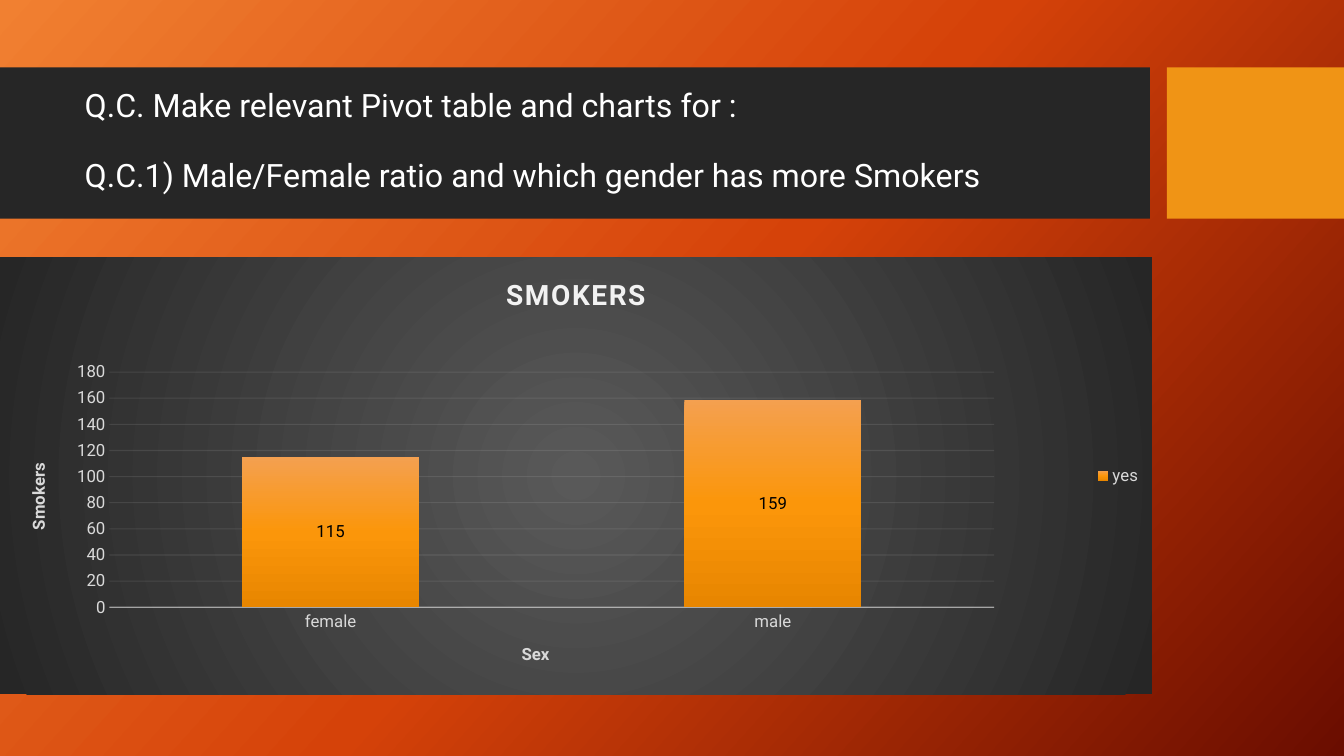
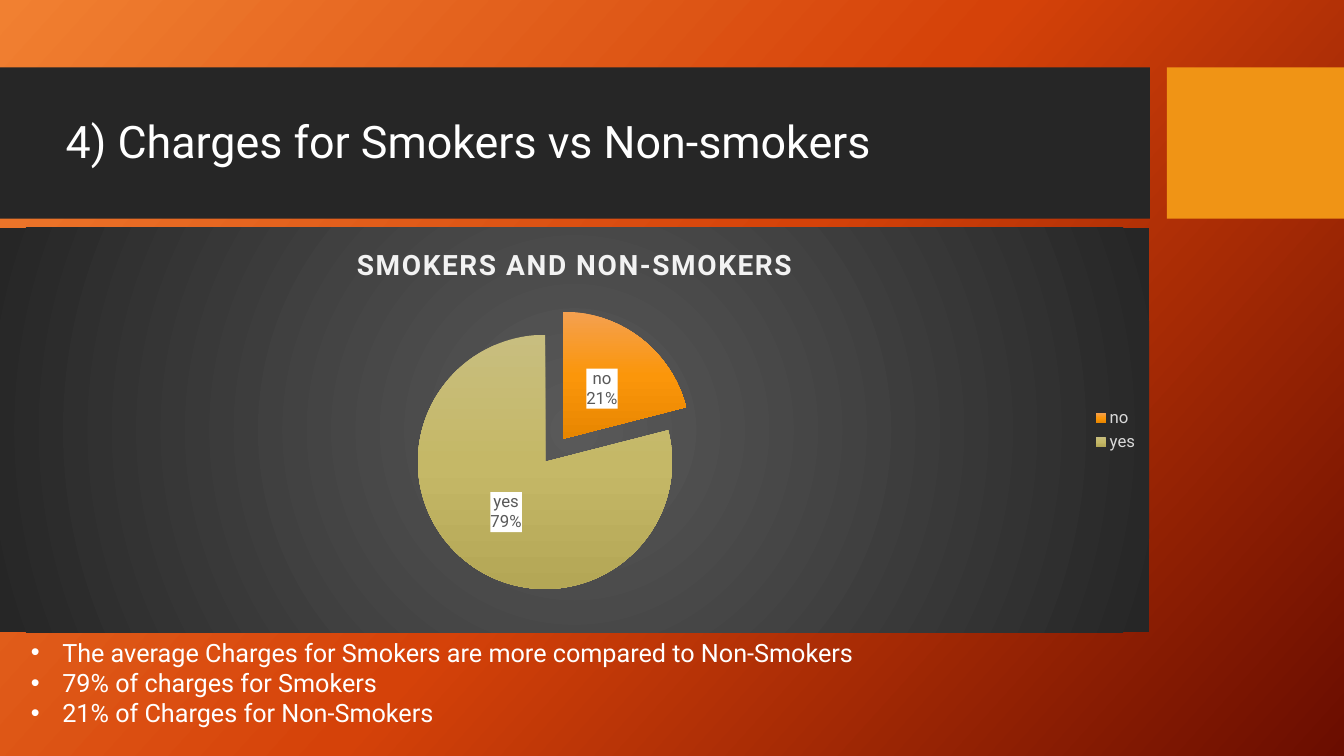
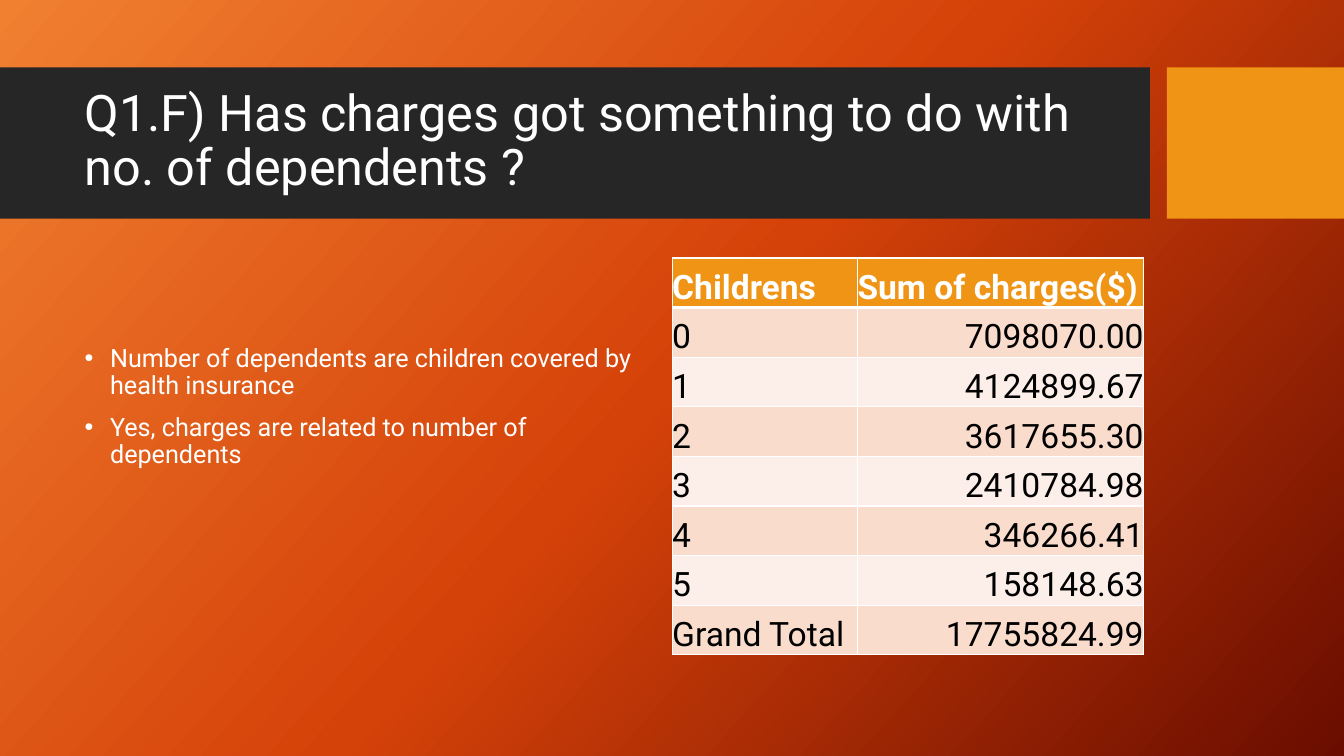
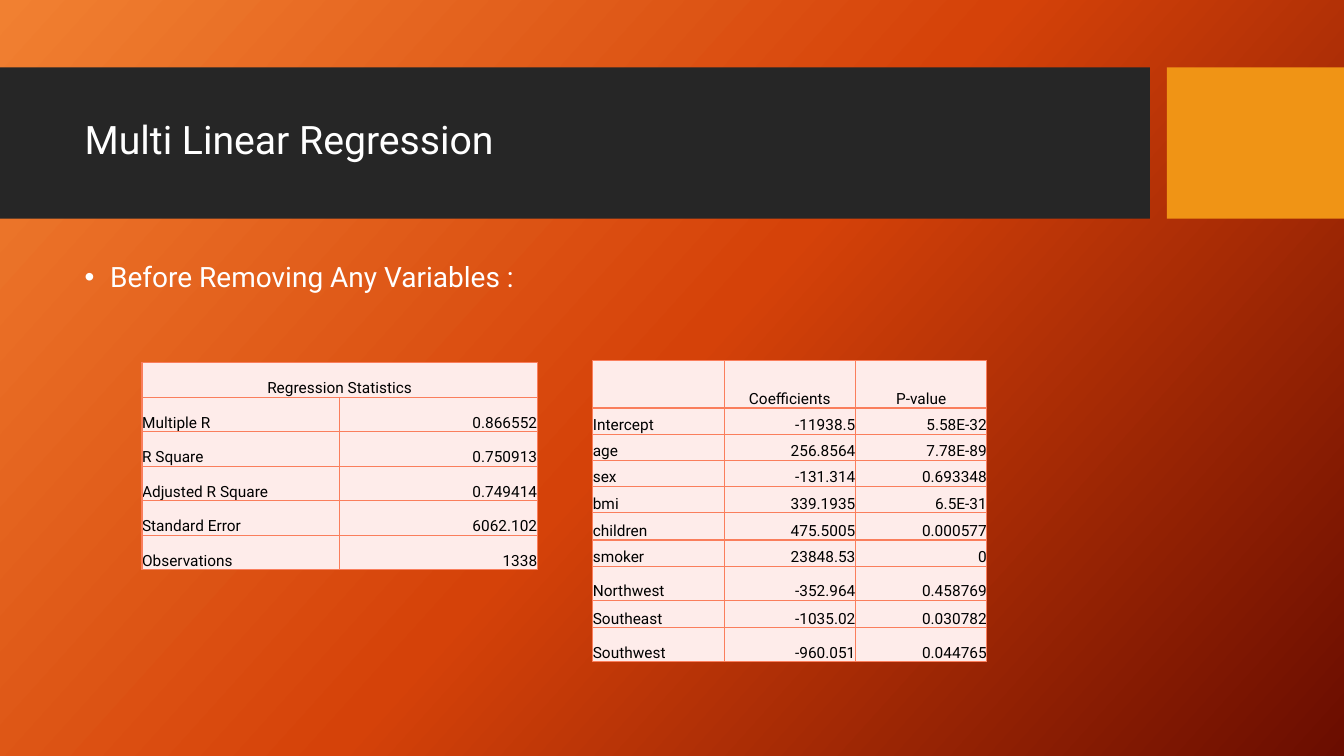
from dataclasses import dataclass

from pptx import Presentation
from pptx.chart.data import CategoryChartData
from pptx.dml.color import RGBColor
from pptx.enum.chart import XL_CHART_TYPE as ChartType
from pptx.enum.chart import XL_LABEL_POSITION as LabelPosition
from pptx.enum.chart import XL_LEGEND_POSITION as LegendPosition
from pptx.enum.chart import XL_TICK_MARK as TickMark
from pptx.enum.shapes import MSO_SHAPE as Preset
from pptx.enum.text import MSO_ANCHOR as Anchor
from pptx.enum.text import MSO_AUTO_SIZE as AutoSize
from pptx.enum.text import PP_ALIGN as Align
from pptx.oxml import parse_xml
from pptx.oxml.ns import nsdecls, qn
from pptx.util import Cm, Pt


@dataclass(frozen=True)
class Theme:
    """Colours, gradients and type sizes of the deck."""
    font: str = "Roboto"
    white: str = "FFFFFF"
    black: str = "000000"
    band: str = "262626"
    accent: str = "F09415"
    chart_title: str = "F2F2F2"
    chart_text: str = "D9D9D9"
    label_text: str = "595959"
    stripes: tuple = ("F9DCCC", "FCEEE8")
    pale: str = "FEECEA"
    rule: str = "FA7E5C"
    backdrop: tuple = ((0, "F18031"), (50, "D54209"), (100, "6A0D00"))
    panel: tuple = ((0, "595959"), (100, "262626"))
    orange: tuple = ((0, "F4A050"), (50, "FB960A"), (100, "E88600"))
    olive: tuple = ((0, "C8BE7F"), (50, "C5B867"), (100, "B4A756"))
    chart_title_size: int = 20
    chart_size: int = 12
    body_size: int = 18
    lead_size: int = 20
    table_size: int = 24
    statistics_size: int = 11


THEME = Theme()
TITLE_BOX = (1.88, 2.08, 26.7, 3)
TITLE_ONLY, TITLE_AND_BODY = 5, 1


def cm(box):
    """Turn a box of centimetres into lengths."""
    return [Cm(side) for side in box]


def style_font(font, size, color, bold=False):
    """Give a font the deck's typeface with a size and colour."""
    font.name = THEME.font
    font.size = Pt(size)
    font.bold = bold
    font.color.rgb = RGBColor.from_string(color)


def style_runs(paragraph, size, color, bold=False):
    """Format every run of a paragraph."""
    for run in paragraph.runs:
        style_font(run.font, size, color, bold)


def gradient(stops, angle=None):
    """Build a linear gradient, or a circular one when no angle is given."""
    stop_xml = "".join(
        f'<a:gs pos="{at * 1000}"><a:srgbClr val="{color}"/></a:gs>' for at, color in stops)
    if angle is None:
        course = ('<a:path path="circle"><a:fillToRect l="50000" t="50000" '
                  'r="50000" b="50000"/></a:path>')
    else:
        course = f'<a:lin ang="{angle * 60000}" scaled="0"/>'
    return parse_xml(f'<a:gradFill {nsdecls("a")} rotWithShape="1">'
                     f'<a:gsLst>{stop_xml}</a:gsLst>{course}</a:gradFill>')


def swap_for_gradient(properties, stops, angle):
    """Replace the solid fill among some properties with a gradient."""
    solid = properties.find(qn("a:solidFill"))
    properties.replace(solid, gradient(stops, angle))


def dress_master(master, slide):
    """Put the backdrop and the two title bands on the master."""
    master.background.fill.solid()
    swap_for_gradient(master.element.xpath(".//p:bgPr")[0], THEME.backdrop, 42)
    bands = (((0, 1.7, 28.98, 3.81), THEME.band), ((29.41, 1.7, 4.46, 3.81), THEME.accent))
    for order, (box, color) in enumerate(bands):
        band = slide.shapes.add_shape(Preset.RECTANGLE, *cm(box))
        band.shadow.inherit = False
        band.fill.solid()
        band.fill.fore_color.rgb = RGBColor.from_string(color)
        band.line.fill.background()
        band.element.nvSpPr.cNvPr.set("id", str(20 + order))
        master.shapes.element.insert(2 + order, band.element)


def place(holder, box):
    """Move a placeholder into a box and keep its type size fixed."""
    holder.left, holder.top, holder.width, holder.height = cm(box)
    holder.text_frame.auto_size = AutoSize.NONE
    holder.text_frame.word_wrap = True


def add_titled_slide(prs, layout, title, size, box=TITLE_BOX):
    """Add a slide with its title set in the dark band."""
    slide = prs.slides.add_slide(prs.slide_layouts[layout])
    heading = slide.shapes.title
    place(heading, box)
    heading.text_frame.text = title
    heading.text_frame.vertical_anchor = Anchor.MIDDLE
    for order, paragraph in enumerate(heading.text_frame.paragraphs):
        paragraph.alignment = Align.LEFT
        paragraph.line_spacing = 0.9
        paragraph.space_before = Pt(24.5 if order else 0)
        style_runs(paragraph, size, THEME.white)
    return slide


def write_bullets(frame, lines, size, indent, line_spacing, gap):
    """Fill a text frame with a bulleted list."""
    frame.text = "\n".join(lines)
    for paragraph in frame.paragraphs:
        properties = paragraph._p.get_or_add_pPr()
        properties.set("marL", str(Cm(indent)))
        properties.set("indent", str(-Cm(indent)))
        for mark in ('buFont {} typeface="Arial"', 'buChar {} char="•"'):
            properties.append(parse_xml(f'<a:{mark.format(nsdecls("a"))}/>'))
        paragraph.alignment = Align.LEFT
        paragraph.line_spacing = line_spacing
        paragraph.space_before = Pt(gap)
        style_runs(paragraph, size, THEME.white)


def fill_body(slide, box, lines, size):
    """Place the body list in a box."""
    body = slide.placeholders[1]
    place(body, box)
    write_bullets(body.text_frame, lines, size, 0.64, 0.9, 10)


def add_findings(slide, box, lines):
    """Add the list of findings below a chart."""
    findings = slide.shapes.add_textbox(*cm(box)).text_frame
    findings.word_wrap = True
    write_bullets(findings, lines, THEME.body_size, 0.79, 1.0, 0)


def add_chart_panel(slide, box, kind, title, categories, series, values):
    """Add a chart with the shared panel, title and legend."""
    data = CategoryChartData()
    data.categories = categories
    data.add_series(series, values)
    chart = slide.shapes.add_chart(kind, *cm(box), data).chart
    style_font(chart.font, THEME.chart_size, THEME.white)
    panel = parse_xml(f'<c:spPr {nsdecls("c", "a")}><a:ln><a:noFill/></a:ln></c:spPr>')
    panel.insert(0, gradient(THEME.panel))
    chart.element.find(qn("c:chart")).addnext(panel)

    chart.has_title = True
    caption = chart.chart_title.text_frame
    caption.text = title
    style_runs(caption.paragraphs[0], THEME.chart_title_size, THEME.chart_title, True)
    for run in caption.paragraphs[0].runs:
        run.font._element.set("spc", "100")
    chart.chart_title.include_in_layout = False

    chart.has_legend = True
    chart.legend.position = LegendPosition.RIGHT
    chart.legend.include_in_layout = False
    style_font(chart.legend.font, THEME.chart_size, THEME.chart_text)
    return chart


def style_axis(axis, title):
    """Give an axis its title and label style."""
    axis.axis_title.text_frame.text = title
    style_runs(axis.axis_title.text_frame.paragraphs[0],
               THEME.chart_size, THEME.chart_text, True)
    axis.major_tick_mark = axis.minor_tick_mark = TickMark.NONE
    style_font(axis.tick_labels.font, THEME.chart_size, THEME.chart_text)


def style_line(line, width):
    """Give a chart line its width and light colour."""
    line.width = Pt(width)
    line.color.rgb = RGBColor.from_string(THEME.chart_title)


def fix_plot(chart, x, y, w, h):
    """Pin the inner plot area to fractions of the chart."""
    plot_area = chart.element.xpath(".//c:plotArea")[0]
    for layout in plot_area.findall(qn("c:layout")):
        plot_area.remove(layout)
    sides = "".join(f'<c:{side} val="{value}"/>'
                    for side, value in (("x", x), ("y", y), ("w", w), ("h", h)))
    plot_area.insert(0, parse_xml(
        f'<c:layout {nsdecls("c")}><c:manualLayout><c:layoutTarget val="inner"/>'
        f'<c:xMode val="edge"/><c:yMode val="edge"/>{sides}</c:manualLayout></c:layout>'))


def add_smokers_columns(slide, box):
    """Add the column chart of smokers by sex."""
    chart = add_chart_panel(slide, box, ChartType.COLUMN_STACKED, "SMOKERS",
                            ("female", "male"), "yes", (115, 159))
    fix_plot(chart, 0.095, 0.263, 0.768, 0.538)
    style_axis(chart.category_axis, "Sex")
    style_line(chart.category_axis.format.line, 1)
    scale = chart.value_axis
    style_axis(scale, "Smokers")
    scale.minimum_scale, scale.maximum_scale, scale.major_unit = 0, 180, 20
    scale.format.line.fill.background()
    style_line(scale.major_gridlines.format.line, 0.75)
    for part, percent in (("c:catAx/c:spPr", 54), ("c:majorGridlines", 10)):
        for color in chart.element.xpath(f".//{part}//a:ln//a:srgbClr"):
            color.append(parse_xml(f'<a:alpha {nsdecls("a")} val="{percent * 1000}"/>'))

    columns = chart.plots[0]
    columns.gap_width, columns.overlap = 150, 100
    columns.vary_by_categories = False
    columns.series[0].format.fill.solid()
    swap_for_gradient(chart.element.xpath(".//c:ser/c:spPr")[0], THEME.orange, 90)
    labels = columns.series[0].data_labels
    labels.show_value = True
    labels.position = LabelPosition.CENTER
    style_font(labels.font, THEME.chart_size, THEME.black)


def add_charges_pie(slide, box):
    """Add the pie of charges with the non-smokers pulled out."""
    chart = add_chart_panel(slide, box, ChartType.PIE, "SMOKERS AND NON-SMOKERS",
                            ("no", "yes"), "Series 1", (21, 79))
    pie = chart.plots[0]
    pie.vary_by_categories = True
    for order, stops in enumerate((THEME.orange, THEME.olive)):
        pie.series[0].points[order].format.fill.solid()
        slice_look = chart.element.xpath(".//c:dPt/c:spPr")[order]
        swap_for_gradient(slice_look, stops, 90)
        if order == 0:
            slice_look.addprevious(parse_xml(f'<c:explosion {nsdecls("c")} val="23"/>'))

    labels = pie.series[0].data_labels
    labels.show_value = False
    labels.show_percentage = labels.show_category_name = True
    labels.number_format, labels.number_format_is_linked = "0%", False
    labels.position = LabelPosition.CENTER
    style_font(labels.font, THEME.chart_size, THEME.label_text)
    label_group = chart.element.xpath(".//c:ser/c:dLbls")[0]
    label_group.find(qn("c:txPr")).addprevious(parse_xml(
        f'<c:spPr {nsdecls("c", "a")}><a:solidFill><a:srgbClr val="{THEME.white}"/>'
        '</a:solidFill></c:spPr>'))
    separator = parse_xml(f'<c:separator {nsdecls("c")}>\n</c:separator>')
    last_flag = label_group.find(qn("c:showBubbleSize"))
    if last_flag is None:
        last_flag = label_group.find(qn("c:showPercent"))
    last_flag.addnext(separator)


def style_cell(cell, fill, rule, bottom=1):
    """Give a cell its borders, fill and tight margins."""
    properties = cell._tc.get_or_add_tcPr()
    for side, width in (("L", 1), ("R", 1), ("T", 1), ("B", bottom)):
        properties.append(parse_xml(
            f'<a:ln{side} {nsdecls("a")} w="{Pt(width)}"><a:solidFill>'
            f'<a:srgbClr val="{rule}"/></a:solidFill></a:ln{side}>'))
    cell.fill.solid()
    cell.fill.fore_color.rgb = RGBColor.from_string(fill)
    cell.margin_left = cell.margin_right = cell.margin_top = cell.margin_bottom = 0
    cell.vertical_anchor = Anchor.BOTTOM


def write_cell(cell, text, align, size, color, bold=False):
    """Write one aligned line in a cell."""
    paragraph = cell.text_frame.paragraphs[0]
    paragraph.text = text
    paragraph.alignment = align
    style_runs(paragraph, size, color, bold)


def add_grid(slide, corner, widths, heights):
    """Add an unstyled table with given column widths and row heights."""
    box = (*corner, sum(widths), sum(heights))
    table = slide.shapes.add_table(len(heights), len(widths), *cm(box)).table
    table.first_row = table.horz_banding = False
    for column, width in zip(table.columns, widths):
        column.width = Cm(width)
    for row, height in zip(table.rows, heights):
        row.height = Cm(height)
    return table


def add_charges_table(slide, corner, rows):
    """Add the striped table of charges by number of children."""
    table = add_grid(slide, corner, (4.67, 7.21), [1.25] * len(rows))
    for r, row in enumerate(rows):
        header = r == 0
        for c, text in enumerate(row):
            cell = table.cell(r, c)
            fill = THEME.accent if header else THEME.stripes[(r - 1) % 2]
            style_cell(cell, fill, THEME.white, 3 if header else 1)
            align = Align.RIGHT if c and not header else Align.LEFT
            color = THEME.white if header else THEME.black
            write_cell(cell, text, align, THEME.table_size, color, header)


def add_statistics_table(slide, corner, widths, heights, rows):
    """Add a pale table of regression results; a lone heading spans it."""
    table = add_grid(slide, corner, widths, heights)
    for r, row in enumerate(rows):
        for c in range(len(widths)):
            style_cell(table.cell(r, c), THEME.pale, THEME.rule)
        if len(row) == 1:
            table.cell(r, 0).merge(table.cell(r, len(widths) - 1))
        for c, text in enumerate(row):
            align = Align.CENTER if r == 0 else Align.RIGHT if c else Align.LEFT
            write_cell(table.cell(r, c), text, align, THEME.statistics_size, THEME.black)


CHARGES = (
    ("Childrens", "Sum of charges($)"),
    ("0", "7098070.00"),
    ("1", "4124899.67"),
    ("2", "3617655.30"),
    ("3", "2410784.98"),
    ("4", "346266.41"),
    ("5", "158148.63"),
    ("Grand Total", "17755824.99"),
)
COEFFICIENTS = (
    ("", "Coefficients", "P-value"),
    ("Intercept", "-11938.5", "5.58E-32"),
    ("age", "256.8564", "7.78E-89"),
    ("sex", "-131.314", "0.693348"),
    ("bmi", "339.1935", "6.5E-31"),
    ("children", "475.5005", "0.000577"),
    ("smoker", "23848.53", "0"),
    ("Northwest", "-352.964", "0.458769"),
    ("Southeast", "-1035.02", "0.030782"),
    ("Southwest", "-960.051", "0.044765"),
)
STATISTICS = (
    ("Regression Statistics",),
    ("Multiple R", "0.866552"),
    ("R Square", "0.750913"),
    ("Adjusted R Square", "0.749414"),
    ("Standard Error", "6062.102"),
    ("Observations", "1338"),
)


def main():
    """Build the four slides and save them."""
    prs = Presentation()
    prs.slide_width, prs.slide_height = Cm(33.87), Cm(19.05)

    smokers = add_titled_slide(
        prs, TITLE_ONLY,
        "Q.C. Make relevant Pivot table and charts for :\n"
        "Q.C.1) Male/Female ratio and which gender has more Smokers", 23)
    dress_master(prs.slide_master, smokers)
    add_smokers_columns(smokers, (0, 6.48, 29.03, 11.02))

    charges = add_titled_slide(prs, TITLE_ONLY, "4) Charges for Smokers vs Non-smokers",
                               32, (1.4, 2.13, 26.7, 3))
    add_charges_pie(charges, (0, 5.74, 28.96, 10.19))
    add_findings(charges, (0.53, 15.93, 28.42, 2.57), (
        "The average Charges for Smokers are more compared to Non-Smokers",
        "79% of charges for Smokers",
        "21% of Charges for Non-Smokers"))

    dependents = add_titled_slide(
        prs, TITLE_AND_BODY,
        "Q1.F) Has charges got something to do with no. of dependents ?", 36)
    fill_body(dependents, (1.88, 8.59, 15.04, 7.92), (
        "Number of dependents are children covered by health insurance",
        "Yes, charges are related to number of dependents"), THEME.body_size)
    add_charges_table(dependents, (16.94, 6.5), CHARGES)

    regression = add_titled_slide(prs, TITLE_AND_BODY, "Multi Linear Regression", 28)
    fill_body(regression, (1.88, 6.5, 26.7, 10),
              ("Before Removing Any Variables :",), THEME.lead_size)
    add_statistics_table(
        regression, (14.94, 9.09), [3.31] * 3,
        (1.19, 0.66, 0.66, 0.66, 0.66, 0.69, 0.66, 0.86, 0.69, 0.86), COEFFICIENTS)
    add_statistics_table(regression, (3.58, 9.14), [4.98] * 2, [0.87] * 6, STATISTICS)

    prs.save("out.pptx")


if __name__ == "__main__":
    main()
